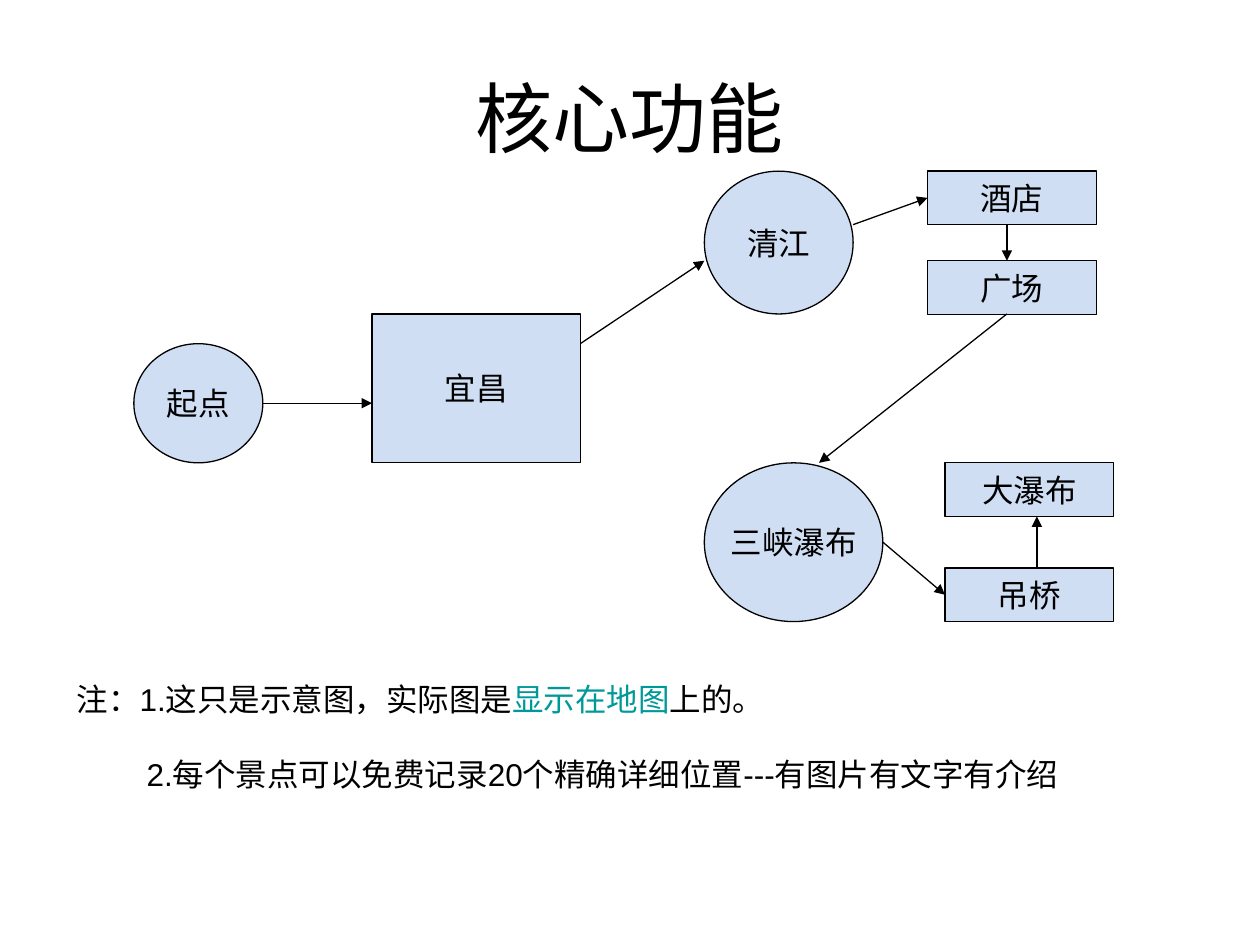
import pptx
import pptx.util
import pptx.dml.color
import pptx.enum.shapes
import pptx.enum.text
from lxml import etree

Pt = pptx.util.Pt
RGB = pptx.dml.color.RGBColor
Shape = pptx.enum.shapes.MSO_SHAPE
Link = pptx.enum.shapes.MSO_CONNECTOR
Align = pptx.enum.text.PP_ALIGN
Anchor = pptx.enum.text.MSO_ANCHOR

BLACK = RGB(0x00, 0x00, 0x00)
BLUE = RGB(0xCF, 0xDE, 0xF3)
TEAL = RGB(0x00, 0x99, 0x99)
WHITE = RGB(0xFF, 0xFF, 0xFF)
FONT = "Arial"
LEFT = 1
NS = "{http://schemas.openxmlformats.org/drawingml/2006/main}"


def write(para, text, size=18, color=BLACK, align=Align.LEFT):
    """Add one run of text to a paragraph."""
    para.alignment = align
    run = para.add_run()
    run.text = text
    run.font.size = Pt(size)
    run.font.name = FONT
    run.font.color.rgb = color


class Board:
    """The current slide and the style of what is put on it."""

    def __init__(self, slide, fill=BLUE, line=BLACK, width=0.75):
        self.slide = slide
        self.fill = fill
        self.line = line
        self.width = width
        slide.background.fill.solid()
        slide.background.fill.fore_color.rgb = WHITE

    def node(self, kind, text, left, top, width, height):
        shape = self.slide.shapes.add_shape(
            kind, Pt(left), Pt(top), Pt(width), Pt(height))
        shape.shadow.inherit = False
        shape.fill.solid()
        shape.fill.fore_color.rgb = self.fill
        shape.line.color.rgb = self.line
        shape.line.width = Pt(self.width)
        frame = shape.text_frame
        frame.word_wrap = False
        frame.vertical_anchor = Anchor.MIDDLE
        write(frame.paragraphs[0], text, align=Align.CENTER)
        return shape

    def arrow(self, x1, y1, x2, y2, goal=None):
        """Draw an arrow, joined to the left side of goal if one is given."""
        link = self.slide.shapes.add_connector(
            Link.STRAIGHT, Pt(x1), Pt(y1), Pt(x2), Pt(y2))
        if goal is not None:
            link.end_connect(goal, LEFT)
        link.line.color.rgb = self.line
        link.line.width = Pt(self.width)
        etree.SubElement(link.line._get_or_add_ln(), NS + "tailEnd",
                         type="triangle")
        etree.SubElement(link._element.spPr, NS + "effectLst")

    def text(self, left, top, width, height, anchor=Anchor.TOP):
        box = self.slide.shapes.add_textbox(
            Pt(left), Pt(top), Pt(width), Pt(height))
        frame = box.text_frame
        frame.word_wrap = True
        frame.vertical_anchor = anchor
        return frame


def main():
    deck = pptx.Presentation()
    deck.slide_width, deck.slide_height = Pt(720), Pt(540)
    board = Board(deck.slides.add_slide(deck.slide_layouts[6]))

    title = board.text(36, 21.6, 648, 90, Anchor.MIDDLE)
    write(title.paragraphs[0], "核心功能", size=44, align=Align.CENTER)

    board.node(Shape.OVAL, "起点", 76.5, 196.4, 73.7, 68.1)
    board.node(Shape.RECTANGLE, "宜昌", 212.6, 179.4, 119, 85.1)
    board.node(Shape.OVAL, "清江", 402.5, 97.8, 85, 81.6)
    board.node(Shape.OVAL, "三峡瀑布", 402.5, 264.5, 102, 90.7)

    stops = {}
    for text, left, top in (("广场", 530, 149), ("酒店", 530, 97.8),
                            ("大瀑布", 540, 264.5), ("吊桥", 540, 324.6)):
        stops[text] = board.node(Shape.RECTANGLE, text, left, top, 96.4, 30.6)

    board.arrow(150.2, 230.4, 212.6, 230.4)
    board.arrow(331.6, 196.4, 402.5, 149)
    board.arrow(487.5, 128.4, 530, 111.6, goal=stops["酒店"])
    board.arrow(575.4, 128.4, 575.4, 149)
    board.arrow(575.4, 179.4, 468, 264.5)
    board.arrow(504.5, 309.8, 540, 337.7, goal=stops["吊桥"])
    board.arrow(592.5, 324.6, 592.5, 295.1)

    notes = board.text(36.7, 385.2, 629.3, 93.6)
    first = notes.paragraphs[0]
    write(first, "注：1.这只是示意图，实际图是")
    write(first, "显示在地图", color=TEAL)
    write(first, "上的。")
    second = notes.add_paragraph()
    second.space_before = Pt(21)
    second._p.get_or_add_pPr().set("marL", str(Pt(40)))
    write(second, "2.每个景点可以免费记录20个精确详细位置---有图片有文字有介绍")

    deck.save("out.pptx")


if __name__ == "__main__":
    main()
